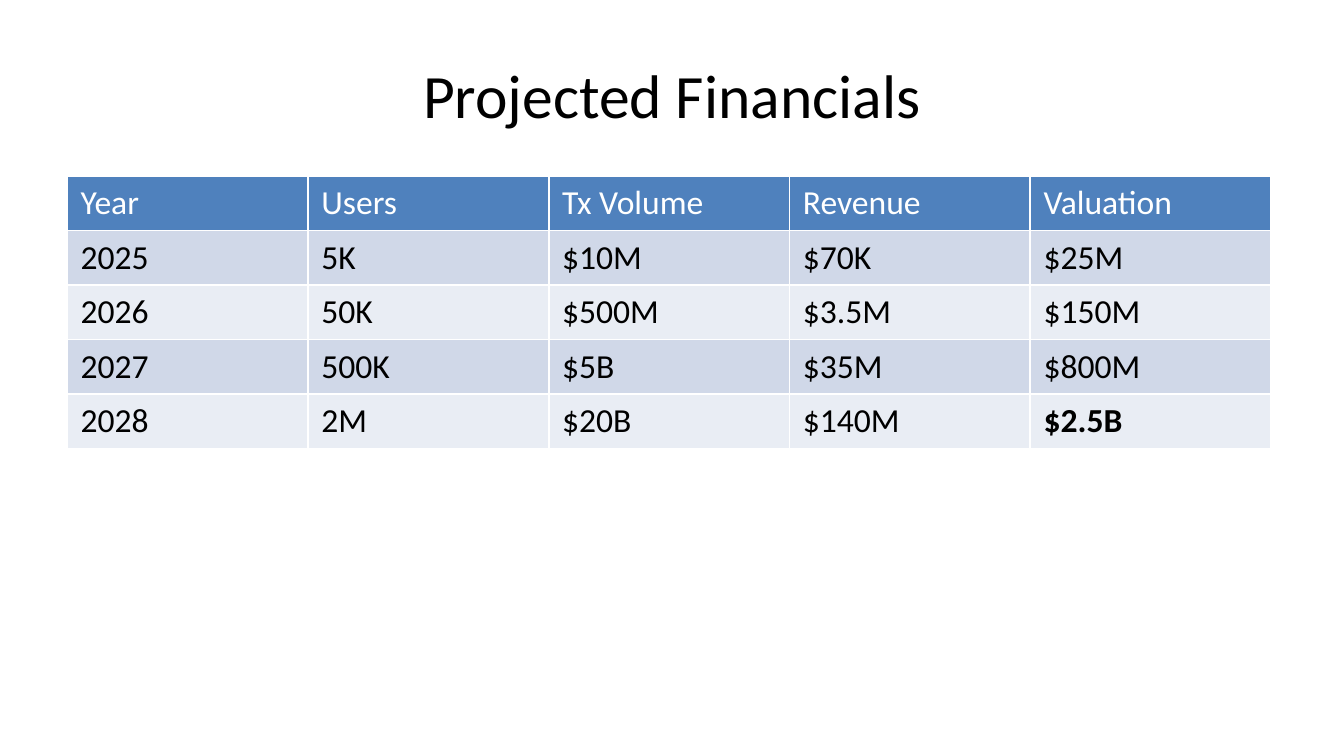
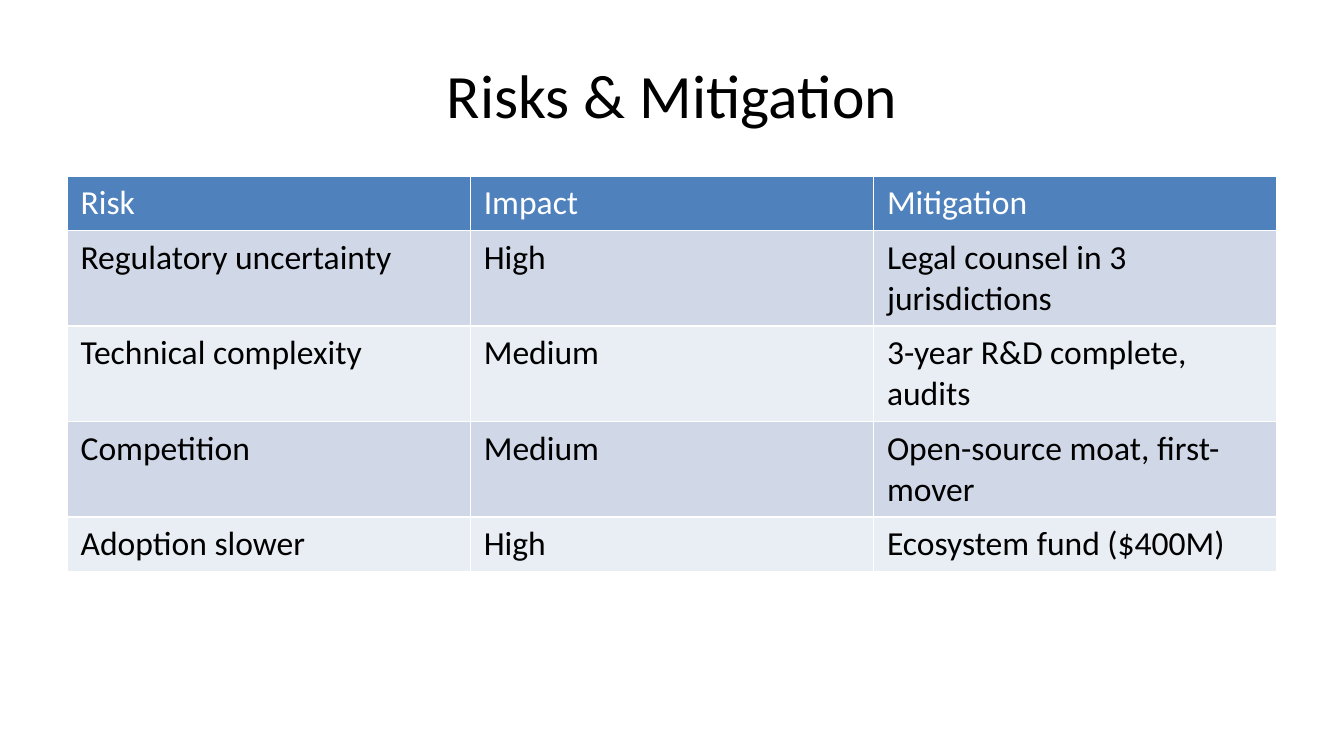
from pptx import Presentation
from pptx import util as u
from pptx.dml.color import RGBColor
from pptx.enum import text

COLOURS = {
    "title": "000000",
    "header_text": "FFFFFF",
    "body_text": "000000",
    "header": "4F81BD",
    "band_dark": "D0D8E8",
    "band_light": "E9EDF4",
}
FONT = "Calibri"
TITLE_BOX = (u.Cm(1.27), u.Cm(0.58), u.Cm(22.86), u.Cm(2.39))
TABLE_BOX = (u.Cm(1.27), u.Cm(3.33), u.Cm(22.86), u.Cm(9.42))
ROW_HEIGHT = u.Cm(1.03)

FINANCIALS = [
    ("Year", "Users", "Tx Volume", "Revenue", "Valuation"),
    ("2025", "5K", "$10M", "$70K", "$25M"),
    ("2026", "50K", "$500M", "$3.5M", "$150M"),
    ("2027", "500K", "$5B", "$35M", "$800M"),
    ("2028", "2M", "$20B", "$140M", "$2.5B"),
]
RISKS = [
    ("Risk", "Impact", "Mitigation"),
    ("Regulatory uncertainty", "High", "Legal counsel in 3 jurisdictions"),
    ("Technical complexity", "Medium", "3-year R&D complete, audits"),
    ("Competition", "Medium", "Open-source moat, first-mover"),
    ("Adoption slower", "High", "Ecosystem fund ($400M)"),
]


def colour(name):
    """Return the named palette colour."""
    return RGBColor.from_string(COLOURS[name])


def format_runs(paragraph, size, colour_name, bold=False):
    """Apply the deck font to every run of a paragraph."""
    for span in paragraph.runs:
        span.font.name = FONT
        span.font.size = u.Pt(size)
        span.font.bold = bold
        span.font.color.rgb = colour(colour_name)


def place_title(page, box, wording):
    """Place the centred slide title in the given box."""
    title = page.shapes.title
    title.left, title.top, title.width, title.height = box
    title.text_frame.text = wording
    title.text_frame.vertical_anchor = text.MSO_ANCHOR.MIDDLE
    paragraph = title.text_frame.paragraphs[0]
    paragraph.alignment = text.PP_ALIGN.CENTER
    format_runs(paragraph, 33, "title")


def fill_cell(cell, wording, fill_name, text_name, bold):
    """Write one table cell with its fill and text colours."""
    cell.text_frame.text = wording
    cell.fill.solid()
    cell.fill.fore_color.rgb = colour(fill_name)
    format_runs(cell.text_frame.paragraphs[0], 18, text_name, bold)


def place_table(page, box, rows, column_width, bold_cells):
    """Place a banded table with equal columns in the given box."""
    frame = page.shapes.add_table(len(rows), len(rows[0]), *box)
    table = frame.table
    for column in table.columns:
        column.width = column_width
    for row_index, row in enumerate(rows):
        table.rows[row_index].height = ROW_HEIGHT
        if row_index == 0:
            fill_name, text_name = "header", "header_text"
        else:
            fill_name = "band_dark" if row_index % 2 else "band_light"
            text_name = "body_text"
        for column_index, wording in enumerate(row):
            bold = (row_index, column_index) in bold_cells
            fill_cell(table.cell(row_index, column_index), wording,
                      fill_name, text_name, bold)
    frame.width, frame.height = box[2:]


def add_table_page(deck, title, rows, column_width, bold_cells=()):
    """Add a slide made of a title and a table."""
    page = deck.slides.add_slide(deck.slide_layouts[5])
    place_title(page, TITLE_BOX, title)
    place_table(page, TABLE_BOX, rows, column_width, bold_cells)


def main():
    """Build and save the deck."""
    deck = Presentation()
    deck.slide_width, deck.slide_height = u.Cm(25.4), u.Cm(14.29)
    add_table_page(deck, "Projected Financials", FINANCIALS, u.Cm(4.55), {(4, 4)})
    add_table_page(deck, "Risks & Mitigation", RISKS, u.Cm(7.62))
    deck.save("out.pptx")


if __name__ == "__main__":
    main()
